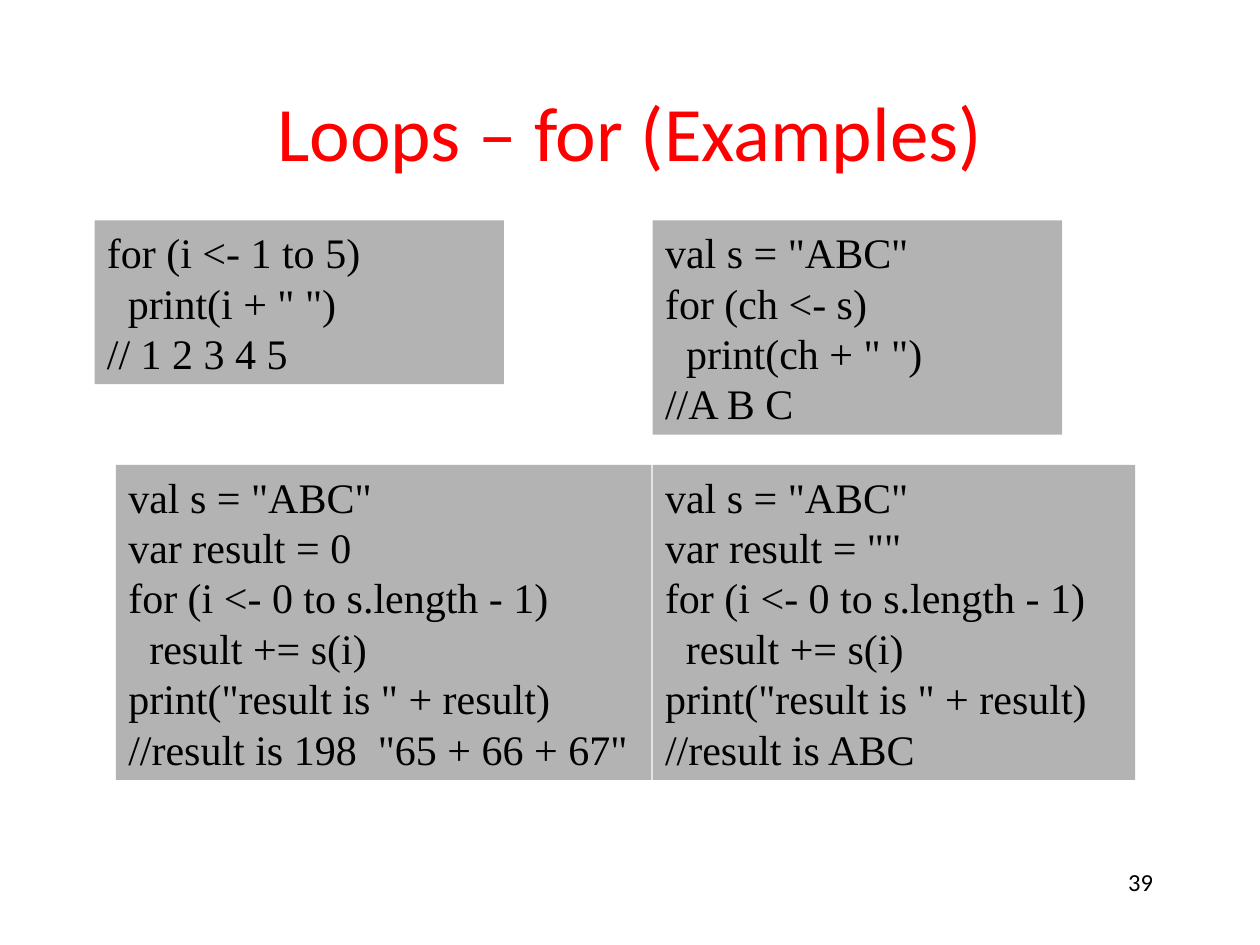
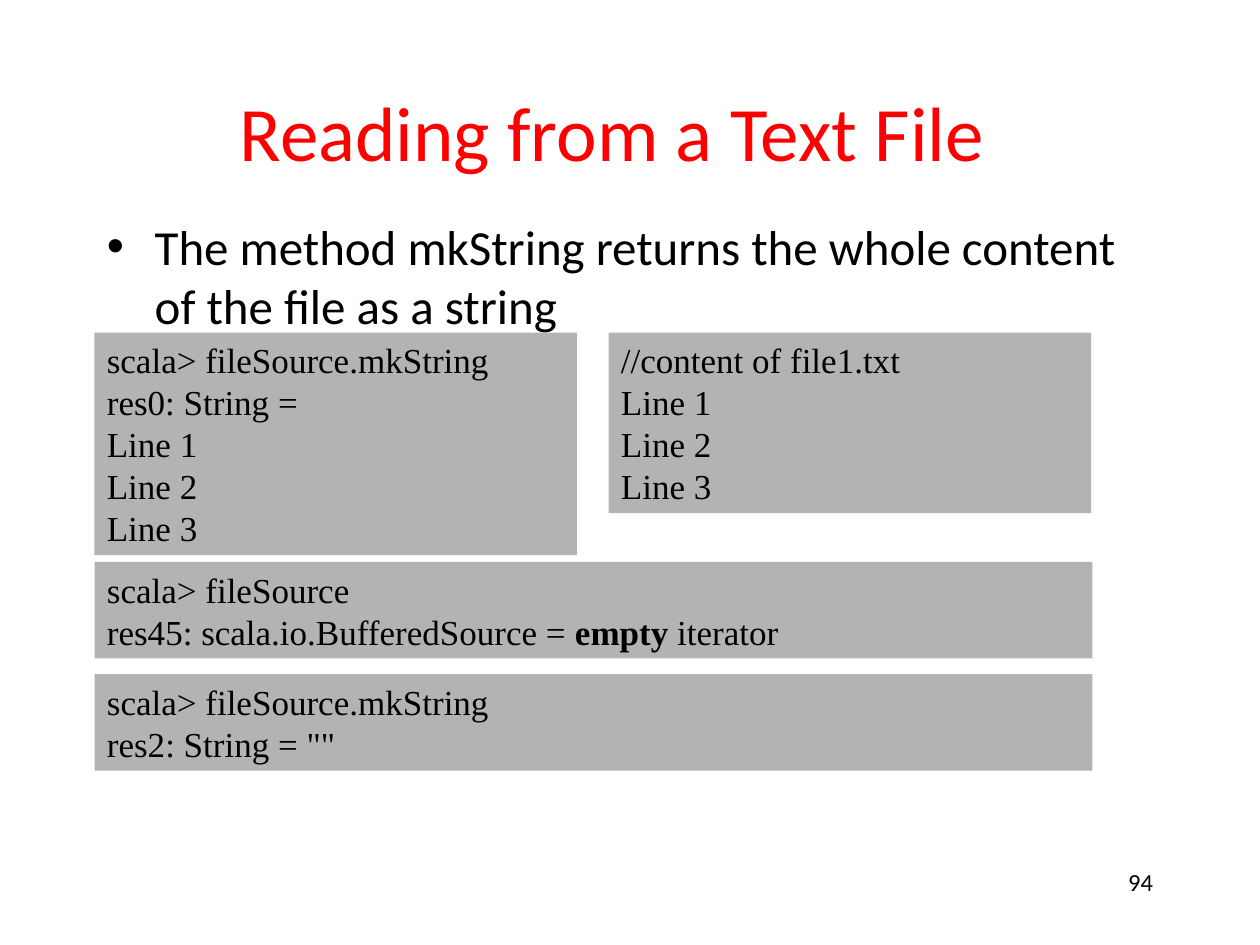
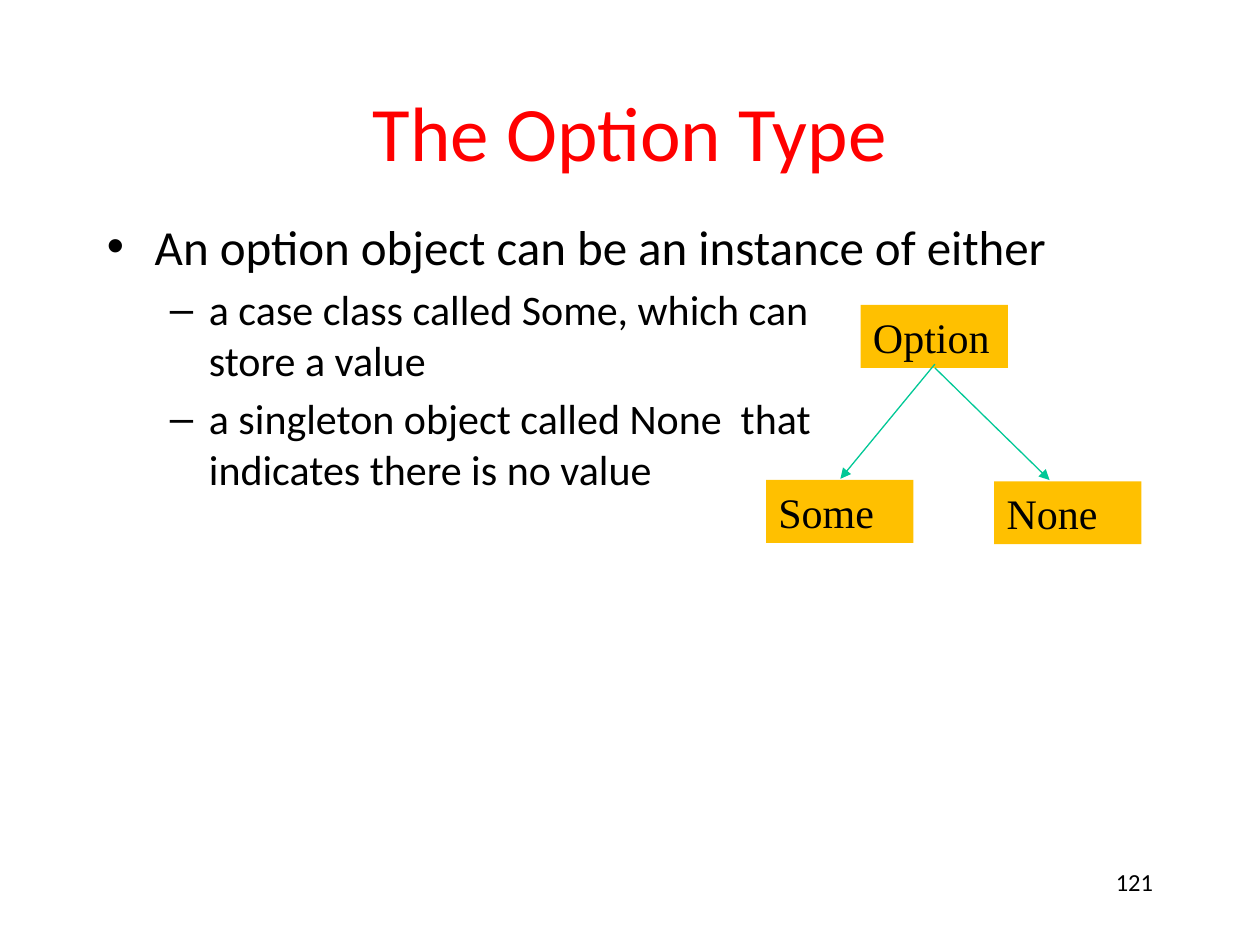
"""Build three lecture slides on loops, text files and the Option type."""
from lxml import etree
from pptx import Presentation
from pptx.dml.color import RGBColor
from pptx.enum.shapes import MSO_CONNECTOR, MSO_SHAPE
from pptx.enum.text import MSO_ANCHOR, MSO_AUTO_SIZE, PP_ALIGN
from pptx.oxml.ns import qn
from pptx.util import Inches, Pt

RED = RGBColor(0xFF, 0x00, 0x00)
BLACK = RGBColor(0x00, 0x00, 0x00)
GRAY = RGBColor(0xB3, 0xB3, 0xB3)
AMBER = RGBColor(0xFF, 0xC0, 0x00)
GREEN = RGBColor(0x00, 0xC8, 0x96)

RECTANGLE = MSO_SHAPE.RECTANGLE
STRAIGHT = MSO_CONNECTOR.STRAIGHT
TOP, MIDDLE = MSO_ANCHOR.TOP, MSO_ANCHOR.MIDDLE
LEFT, CENTER, RIGHT = PP_ALIGN.LEFT, PP_ALIGN.CENTER, PP_ALIGN.RIGHT
FIT_SHAPE = MSO_AUTO_SIZE.SHAPE_TO_FIT_TEXT

TITLE_ONLY = 5
MARGIN = 0.75
CONTENT_WIDTH = 8.5
NODE_WIDTH = 1.17

TITLE_FONT = {"name": "Calibri", "size": Pt(44)}
NUMBER_FONT = {"name": "Calibri", "size": Pt(14)}
CODE_FACE = "Times New Roman"

BULLET_LEVELS = [
    {"mark": "•", "size": 28, "margin": 0.38, "hang": 0.38, "before": 0},
    {"mark": "–", "size": 24, "margin": 0.81, "hang": 0.31, "before": 4.8},
]

COUNT_LOOP = """for (i <- 1 to 5)
  print(i + " ")
// 1 2 3 4 5"""

CHARACTER_LOOP = """val s = "ABC"
for (ch <- s)
  print(ch + " ")
//A B C"""

SUM_LOOP = """val s = "ABC"
var result = 0
for (i <- 0 to s.length - 1)
  result += s(i)
print("result is " + result)
//result is 198  "65 + 66 + 67\""""

JOIN_LOOP = """val s = "ABC"
var result = ""
for (i <- 0 to s.length - 1)
  result += s(i)
print("result is " + result)
//result is ABC"""

FIRST_READ = """scala> fileSource.mkString
res0: String =
Line 1
Line 2
Line 3"""

FILE_CONTENT = """//content of file1.txt
Line 1
Line 2
Line 3"""

SOURCE_STATE = """scala> fileSource
res45: scala.io.BufferedSource = *empty* iterator"""

SECOND_READ = """scala> fileSource.mkString
res2: String = \"\""""


def format_runs(paragraph, font_values, color=BLACK):
    """Apply font values and a colour to every run of a paragraph."""
    for run in paragraph.runs:
        for name, value in font_values.items():
            setattr(run.font, name, value)
        run.font.color.rgb = color


def add_titled_slide(presentation, title, number, right_inset=0.1):
    """Add a slide with the shared title style and page number."""
    slide = presentation.slides.add_slide(presentation.slide_layouts[TITLE_ONLY])
    shape = slide.shapes.title
    place = {"left": MARGIN, "top": 0.58, "width": CONTENT_WIDTH, "height": 0.92}
    for name, value in place.items():
        setattr(shape, name, Inches(value))
    frame = shape.text_frame
    frame.text = title
    frame.vertical_anchor = MIDDLE
    frame.margin_right = Inches(right_inset)
    frame.paragraphs[0].alignment = CENTER
    format_runs(frame.paragraphs[0], TITLE_FONT, RED)
    add_page_number(slide, number)
    return slide


def add_page_number(slide, number):
    """Add the right-aligned page number at the foot."""
    box = slide.shapes.add_textbox(Inches(7.17), Inches(6.83), Inches(2.08), Inches(0.5))
    box.text_frame.word_wrap = True
    paragraph = box.text_frame.paragraphs[0]
    paragraph.text = str(number)
    paragraph.alignment = RIGHT
    format_runs(paragraph, NUMBER_FONT)


def add_bullets(slide, items):
    """Add the body text from pairs of level and wording."""
    box = slide.shapes.add_textbox(
        Inches(MARGIN), Inches(1.67), Inches(CONTENT_WIDTH), Inches(5))
    frame = box.text_frame
    frame.word_wrap = True
    for index, (level, text) in enumerate(items):
        style = BULLET_LEVELS[level]
        paragraph = frame.add_paragraph() if index else frame.paragraphs[0]
        paragraph.text = text
        paragraph.level = level
        paragraph.space_before = Pt(style["before"])
        format_runs(paragraph, {"name": "Calibri", "size": Pt(style["size"])})
        properties = paragraph._p.get_or_add_pPr()
        properties.set("marL", str(Inches(style["margin"])))
        properties.set("indent", str(-Inches(style["hang"])))
        etree.SubElement(properties, qn("a:buFont"), typeface="Arial")
        etree.SubElement(properties, qn("a:buChar"), char=style["mark"])


def add_text_block(slide, text, left, top, width, size=24, fill=GRAY):
    """Add a filled block as tall as its lines; asterisks enclose bold words."""
    lines = text.split("\n")
    height = 0.1 + len(lines) * size / 60
    shape = slide.shapes.add_shape(
        RECTANGLE, Inches(left), Inches(top), Inches(width), Inches(height))
    shape.shadow.inherit = False
    shape.fill.solid()
    shape.fill.fore_color.rgb = fill
    shape.line.fill.background()
    frame = shape.text_frame
    for name, value in {"word_wrap": True, "vertical_anchor": TOP,
                        "auto_size": FIT_SHAPE}.items():
        setattr(frame, name, value)
    for index, line in enumerate(lines):
        paragraph = frame.add_paragraph() if index else frame.paragraphs[0]
        paragraph.alignment = LEFT
        for part, words in enumerate(line.split("*")):
            run = paragraph.add_run()
            run.text = words
            run.font.bold = part % 2 == 1
        format_runs(paragraph, {"name": CODE_FACE, "size": Pt(size)})


def add_arrow(slide, start, end):
    """Add a thin green arrow between two points."""
    arrow = slide.shapes.add_connector(STRAIGHT, *map(Inches, start + end))
    arrow.line.color.rgb = GREEN
    arrow.line.width = Pt(0.75)
    etree.SubElement(arrow.line._get_or_add_ln(), qn("a:tailEnd"), type="triangle")
    etree.SubElement(arrow._element.spPr, qn("a:effectLst"))


def build_loops(presentation):
    """Build the slide of for-loop examples."""
    slide = add_titled_slide(presentation, "Loops – for (Examples)", 39)
    right_column, upper_row, lower_row = 5.18, 1.75, 3.69
    add_text_block(slide, COUNT_LOOP, MARGIN, upper_row, 3.25)
    add_text_block(slide, CHARACTER_LOOP, right_column, upper_row, 3.25)
    add_text_block(slide, SUM_LOOP, 0.92, lower_row, 4.25)
    add_text_block(slide, JOIN_LOOP, right_column, lower_row, 3.83)


def build_text_file(presentation):
    """Build the slide on reading a text file."""
    slide = add_titled_slide(presentation, "Reading from a Text File", 94, right_inset=0.38)
    add_bullets(slide, [
        (0, "The method mkString returns the whole content of the file as a string")])
    for text, left, top, width in [
        (SOURCE_STATE, MARGIN, 4.46, 7.92),
        (FIRST_READ, MARGIN, 2.64, 3.83),
        (SECOND_READ, MARGIN, 5.35, 7.92),
        (FILE_CONTENT, 4.83, 2.64, 3.83),
    ]:
        add_text_block(slide, text, left, top, width, size=20)


def build_option_type(presentation):
    """Build the slide with the Option type tree."""
    slide = add_titled_slide(presentation, "The Option Type", 121)
    add_bullets(slide, [
        (0, "An option object can be an instance of either"),
        (1, "a case class called Some, which can\nstore a value"),
        (1, "a singleton object called None  that\nindicates there is no value"),
    ])
    for name, left, top in [("Option", 6.83, 2.42), ("None", 7.89, 3.82), ("Some", 6.08, 3.81)]:
        add_text_block(slide, name, left, top, NODE_WIDTH, fill=AMBER)
    add_arrow(slide, (7.42, 2.89), (6.67, 3.8))
    add_arrow(slide, (7.42, 2.92), (8.33, 3.81))


def main():
    """Build and save the presentation."""
    presentation = Presentation()
    presentation.slide_width = Inches(10)
    presentation.slide_height = Inches(7.5)
    build_loops(presentation)
    build_text_file(presentation)
    build_option_type(presentation)
    presentation.save("out.pptx")


if __name__ == "__main__":
    main()
